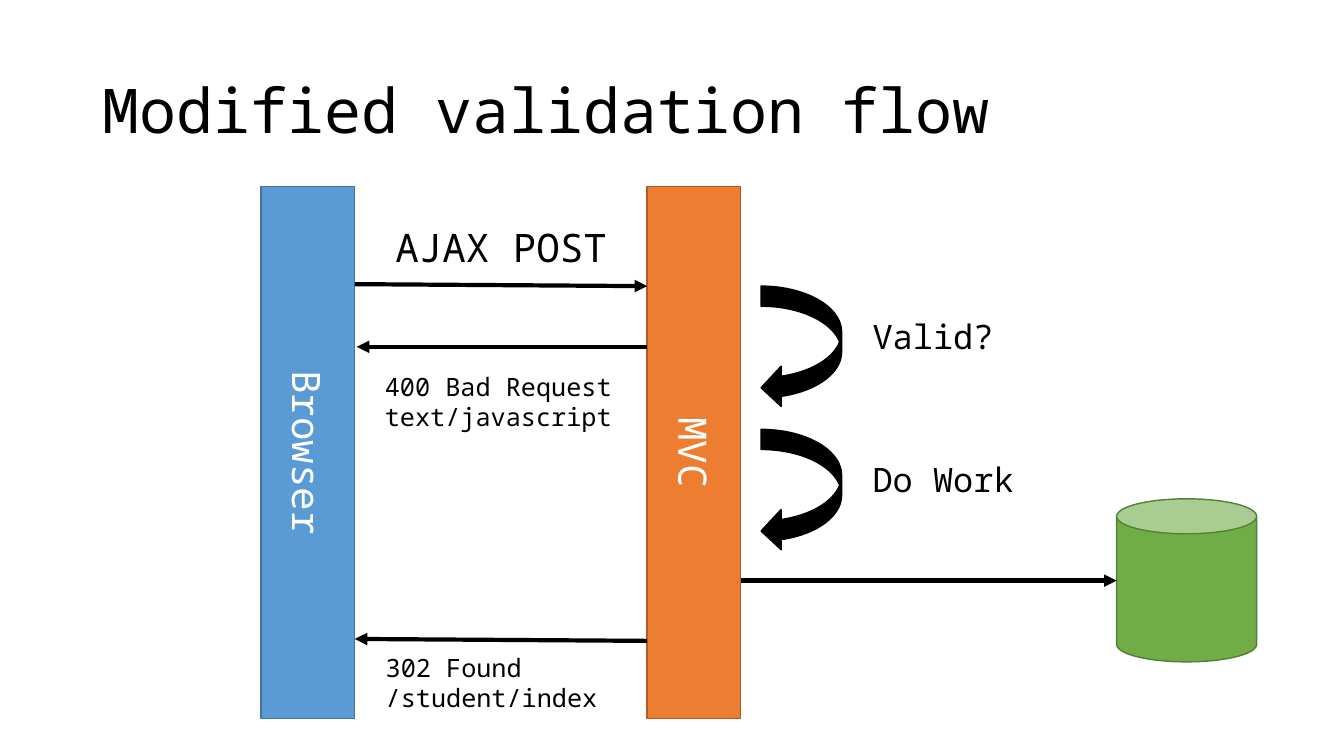
from lxml import etree
from pptx import Presentation
from pptx import util as u
from pptx.dml.color import RGBColor
from pptx.enum import shapes, text
from pptx.oxml.ns import qn

COLORS = {
    "black": "000000", "white": "FFFFFF",
    "blue": "5B9BD5", "blue_line": "43739E",
    "orange": "ED7D31", "orange_line": "AF5C24",
    "green": "70AD47", "green_line": "538035",
}
FONT = "Noto Sans Mono"
KIND = shapes.MSO_SHAPE
LEFT, CENTER = text.PP_ALIGN.LEFT, text.PP_ALIGN.CENTER

BAR_TOP, BAR_WIDTH, BAR_HEIGHT = 4.7, 2.36, 13.41
BROWSER_LEFT, MVC_LEFT = 6.58, 16.31
BROWSER_RIGHT = BROWSER_LEFT + BAR_WIDTH
MVC_RIGHT = MVC_LEFT + BAR_WIDTH
CAN_LEFT = 28.14


def rgb(name):
    return RGBColor.from_string(COLORS[name])


def write(tf, lines, size, color="black", align=LEFT, spacing=None):
    for i, line in enumerate(lines):
        p = tf.paragraphs[0] if i == 0 else tf.add_paragraph()
        p.alignment = align
        p.line_spacing = spacing
        r = p.add_run()
        r.text = line
        for name, value in {"name": FONT, "size": u.Pt(size)}.items():
            setattr(r.font, name, value)
        r.font.color.rgb = rgb(color)


def add_text(s, box, lines, size, **style):
    tf = s.shapes.add_textbox(*map(u.Cm, box)).text_frame
    tf.word_wrap = True
    write(tf, lines, size, **style)
    return tf


def add_title(s, title):
    tf = add_text(s, (2.34, 1.02, 29.21, 3.68), [title], 44, spacing=0.9)
    tf.vertical_anchor = text.MSO_ANCHOR.MIDDLE


def add_label(s, box, lines, size, **style):
    tf = add_text(s, box, lines, size, **style)
    tf.auto_size = text.MSO_AUTO_SIZE.SHAPE_TO_FIT_TEXT


def add_figure(s, kind, box, fill, line):
    sp = s.shapes.add_shape(kind, *map(u.Cm, box))
    sp.shadow.inherit = False
    sp.fill.solid()
    sp.fill.fore_color.rgb = rgb(fill)
    sp.line.color.rgb = rgb(line)
    sp.line.width = u.Pt(1)
    return sp


def add_bar(s, left, name, color):
    """Tall bar for one participant, its name reading downwards."""
    box = (left, BAR_TOP, BAR_WIDTH, BAR_HEIGHT)
    sp = add_figure(s, KIND.RECTANGLE, box, color, color + "_line")
    tf = sp.text_frame
    tf.vertical_anchor = text.MSO_ANCHOR.MIDDLE
    tf._txBody.bodyPr.set("vert", "vert")
    write(tf, [name], 28, "white", CENTER)


def add_arrow(s, x1, y1, x2, y2):
    c = s.shapes.add_connector(shapes.MSO_CONNECTOR.STRAIGHT,
                               *map(u.Cm, (x1, y1, x2, y2)))
    c.line.color.rgb = rgb("black")
    c.line.width = u.Pt(3)
    etree.SubElement(c.line._get_or_add_ln(), qn("a:tailEnd"), type="triangle")
    etree.SubElement(c._element.spPr, qn("a:effectLst"))


def add_step(s, top, name):
    """Server-side step: a curved arrow with its label."""
    add_figure(s, KIND.CURVED_LEFT_ARROW, (19.18, top, 2.03, 3.07),
               "black", "black")
    add_label(s, (21.74, top + 0.62, 4.75, 1.27), [name], 24)


def main():
    prs = Presentation()
    prs.slide_width, prs.slide_height = u.Cm(33.87), u.Cm(19.05)
    s = prs.slides.add_slide(prs.slide_layouts[6])

    add_title(s, "Modified validation flow")
    add_bar(s, MVC_LEFT, "MVC", "orange")
    add_bar(s, BROWSER_LEFT, "Browser", "blue")
    add_figure(s, KIND.CAN, (CAN_LEFT, 12.57, 3.53, 4.11), "green", "green_line")

    for arrow in (
        (BROWSER_RIGHT, 7.16, MVC_LEFT, 7.21),
        (MVC_LEFT, 8.74, BROWSER_RIGHT + 0.05, 8.74),
        (MVC_RIGHT, 14.63, CAN_LEFT, 14.63),
        (MVC_LEFT, 16.15, BROWSER_RIGHT, 16.1),
    ):
        add_arrow(s, *arrow)

    add_label(s, (9.47, 5.49, 6.32, 1.45), ["AJAX POST"], 28, align=CENTER)
    add_label(s, (9.45, 9.22, 6.35, 1.8),
              ["400 Bad Request", "text/javascript"], 18)
    add_label(s, (9.47, 16.31, 6.35, 1.8),
              ["302 Found", "/student/index"], 18)

    add_step(s, 7.21, "Valid?")
    add_step(s, 10.82, "Do Work")

    prs.save("out.pptx")


if __name__ == "__main__":
    main()
